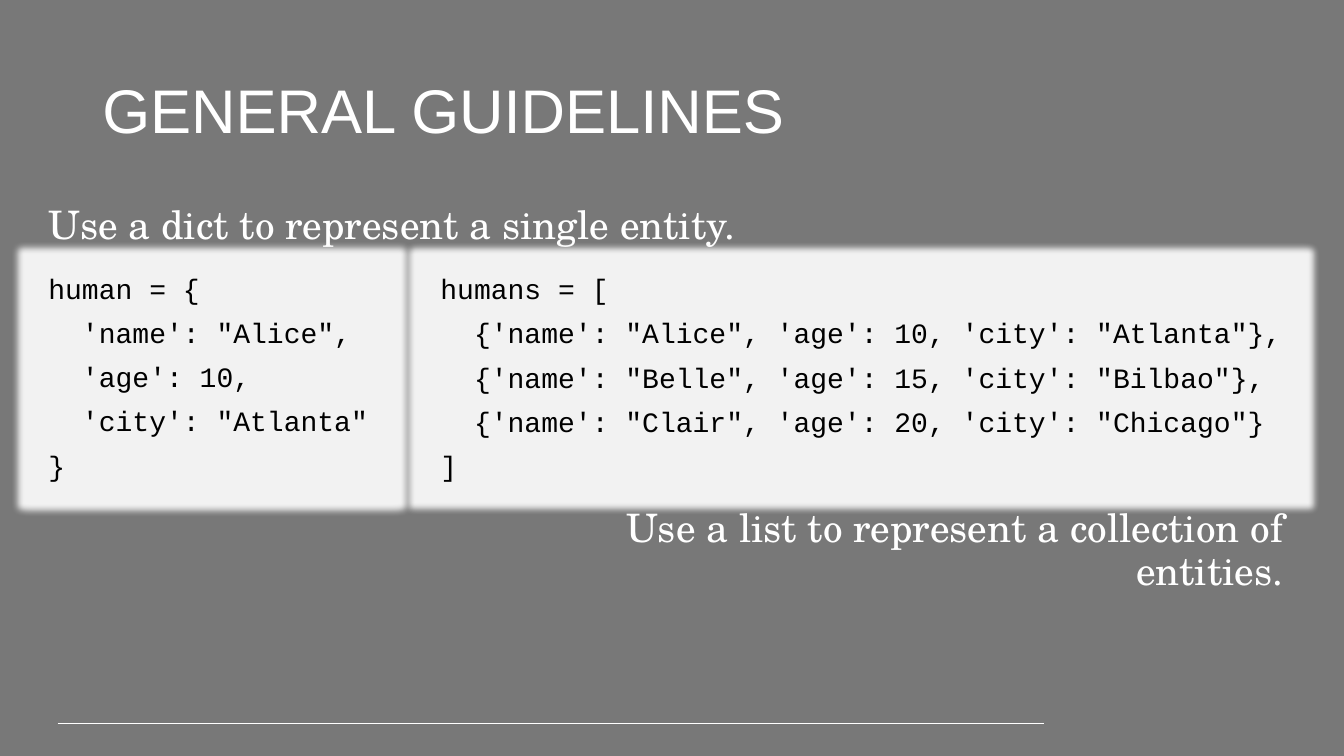
from dataclasses import dataclass

from lxml import etree
from pptx import Presentation
from pptx import util as u
from pptx.dml.color import RGBColor
from pptx.enum import shapes, text
from pptx.oxml.ns import qn

WHITE, BLACK, GREY, PALE = "FFFFFF", "000000", "787878", "F2F2F2"
GLOW_RADIUS = u.Cm(0.35)


@dataclass
class TextBlock:
    left: float
    top: float
    width: float
    height: float
    lines: list[str]
    font: str
    size: int
    align: text.PP_ALIGN = text.PP_ALIGN.LEFT
    anchor: text.MSO_ANCHOR = text.MSO_ANCHOR.TOP
    color: str = WHITE

    def box(self) -> tuple:
        return tuple(u.Cm(n) for n in (self.left, self.top, self.width, self.height))


def rgb(value: str) -> RGBColor:
    return RGBColor.from_string(value)


def write_lines(shape, block: TextBlock) -> None:
    frame = shape.text_frame
    frame.word_wrap = True
    frame.vertical_anchor = block.anchor
    frame.text = "\n".join(block.lines)
    for index, paragraph in enumerate(frame.paragraphs):
        paragraph.alignment = block.align
        paragraph.line_spacing = 0.9
        paragraph.space_before = u.Pt(10 if index else 0)
        for run in paragraph.runs:
            run.font.name = block.font
            run.font.size = u.Pt(block.size)
            run.font.color.rgb = rgb(block.color)


def add_label(slide, block: TextBlock) -> None:
    write_lines(slide.shapes.add_textbox(*block.box()), block)


def add_code_panel(slide, block: TextBlock) -> None:
    panel = slide.shapes.add_shape(shapes.MSO_SHAPE.RECTANGLE, *block.box())
    panel.fill.solid()
    panel.fill.fore_color.rgb = rgb(PALE)
    panel.line.fill.background()
    # Soft glow in the panel colour
    effects = etree.SubElement(panel._element.spPr, qn("a:effectLst"))
    glow = etree.SubElement(effects, qn("a:glow"), rad=str(GLOW_RADIUS))
    etree.SubElement(glow, qn("a:srgbClr"), val=PALE)
    write_lines(panel, block)


def add_footer_rule(slide) -> None:
    rule = slide.shapes.add_connector(
        shapes.MSO_CONNECTOR.STRAIGHT,
        u.Cm(1.45), u.Cm(18.23), u.Cm(26.32), u.Cm(18.23))
    rule.line.color.rgb = rgb(WHITE)
    rule.line.width = u.Pt(0.75)
    etree.SubElement(rule._element.spPr, qn("a:effectLst"))


TITLE = TextBlock(2.33, 1.02, 29.21, 3.68, ["GENERAL GUIDELINES"], "Arial", 44,
                  anchor=text.MSO_ANCHOR.MIDDLE)
DICT_LABEL = TextBlock(0.97, 5.05, 29.21, 1.35,
                       ["Use a dict to represent a single entity."],
                       "TeX Gyre Schola", 28)
LIST_LABEL = TextBlock(12.19, 12.7, 20.4, 1.35,
                       ["Use a list to represent a collection of entities."],
                       "TeX Gyre Schola", 28, align=text.PP_ALIGN.RIGHT)
DICT_CODE = TextBlock(0.97, 6.76, 8.74, 5.56, [
    "human = {",
    "  'name': \"Alice\",",
    "  'age': 10,",
    "  'city': \"Atlanta\"",
    "}",
], "Courier New", 20, anchor=text.MSO_ANCHOR.MIDDLE, color=BLACK)
LIST_CODE = TextBlock(10.85, 6.78, 21.74, 5.54, [
    "humans = [",
    "  {'name': \"Alice\", 'age': 10, 'city': \"Atlanta\"},",
    "  {'name': \"Belle\", 'age': 15, 'city': \"Bilbao\"},",
    "  {'name': \"Clair\", 'age': 20, 'city': \"Chicago\"}",
    "]",
], "Courier New", 20, anchor=text.MSO_ANCHOR.MIDDLE, color=BLACK)


def main() -> None:
    presentation = Presentation()
    presentation.slide_width = u.Cm(33.87)
    presentation.slide_height = u.Cm(19.05)
    slide = presentation.slides.add_slide(presentation.slide_layouts[6])
    slide.background.fill.solid()
    slide.background.fill.fore_color.rgb = rgb(GREY)

    # Rule and heading
    add_footer_rule(slide)
    add_label(slide, TITLE)

    # Guidelines with their code samples
    add_label(slide, DICT_LABEL)
    add_code_panel(slide, DICT_CODE)
    add_label(slide, LIST_LABEL)
    add_code_panel(slide, LIST_CODE)

    presentation.save("out.pptx")


if __name__ == "__main__":
    main()
